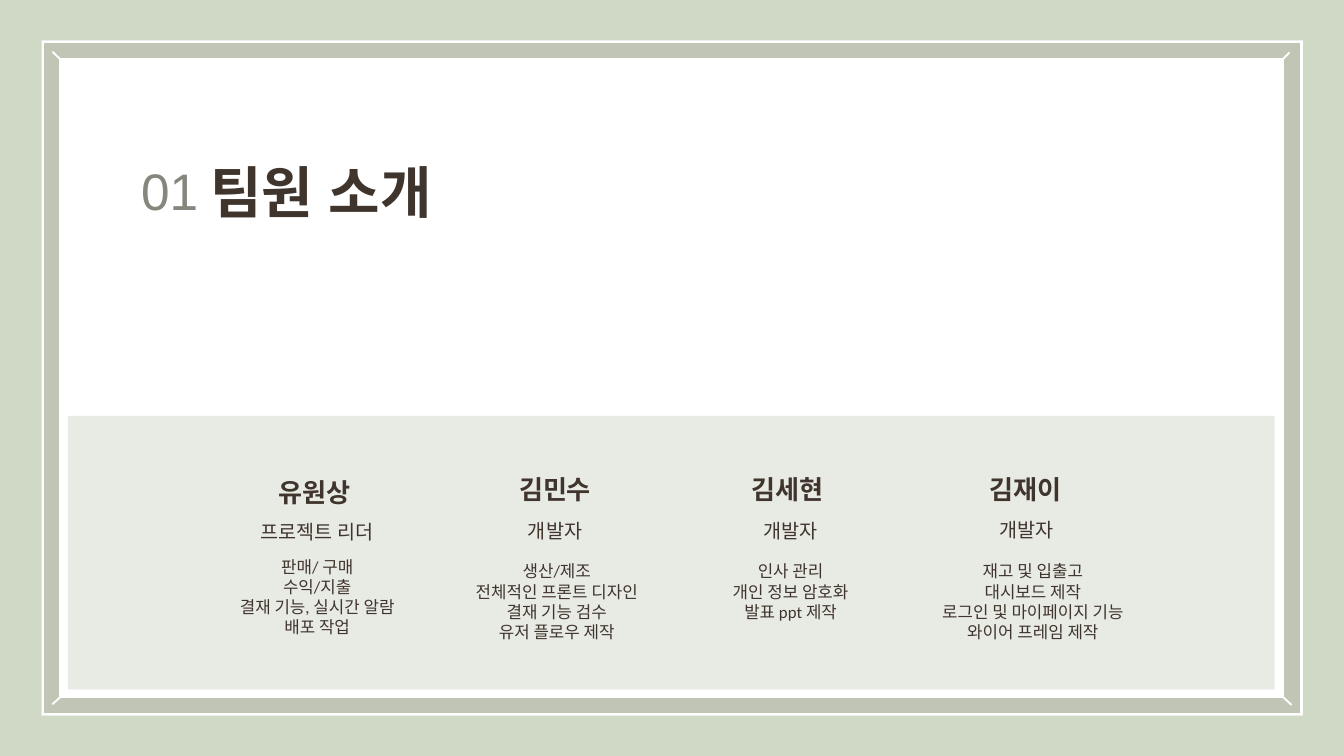
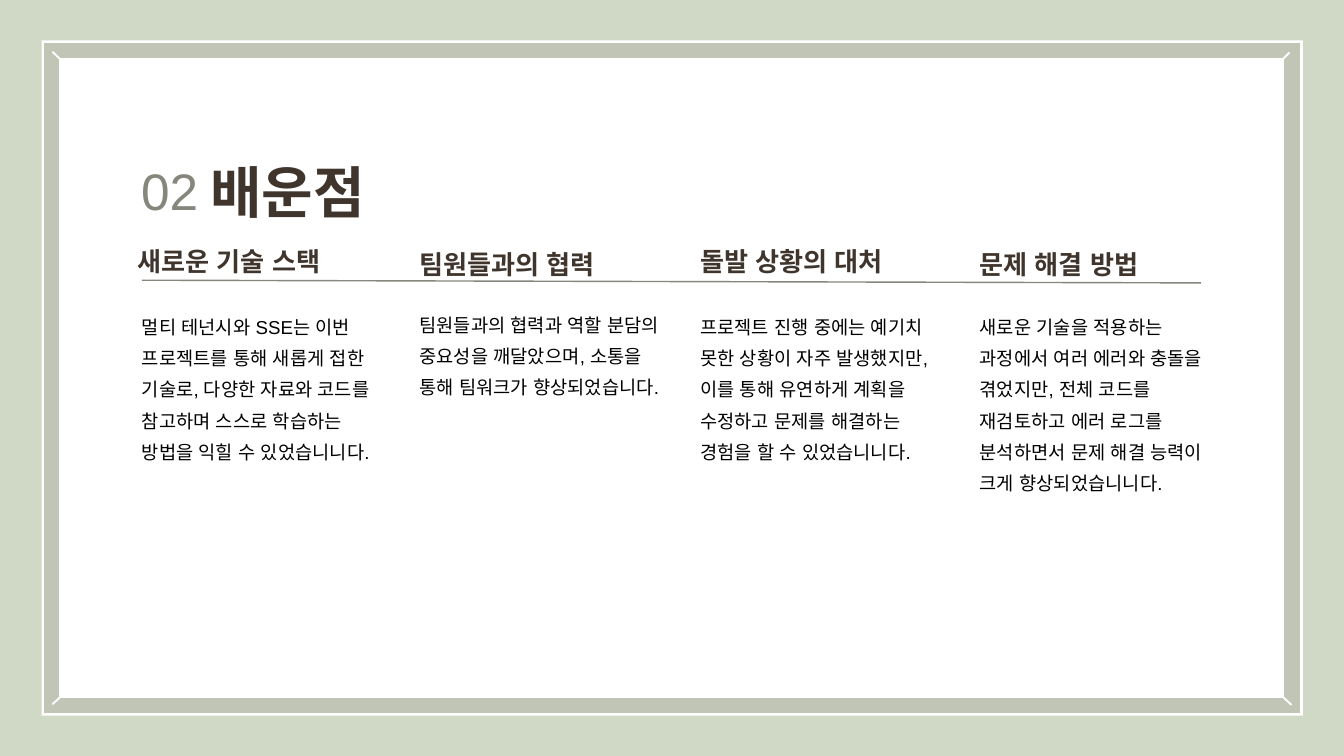
from dataclasses import dataclass
from typing import NamedTuple

from lxml.etree import SubElement
from pptx import Presentation
from pptx.dml.color import RGBColor
from pptx.enum.shapes import MSO_CONNECTOR, MSO_SHAPE
from pptx.enum.text import MSO_ANCHOR, MSO_AUTO_SIZE, PP_ALIGN
from pptx.oxml.ns import qn
from pptx.util import Emu, Pt

PX = 9144


@dataclass(frozen=True)
class Theme:
    """Colours, fonts and type sizes of the deck."""
    page: str = "D0D9C6"
    paper: str = "FFFFFF"
    band: str = "C0C5B6"
    panel: str = "E8EBE4"
    ink: str = "40352D"
    muted: str = "86867D"
    black: str = "000000"
    font: str = "Arial"
    task_font: str = "Calibri"
    title: int = 60
    number: int = 55
    heading: int = 28
    role: int = 21
    body: int = 20
    task: int = 18
    spacing: float = 1.4


class Box(NamedTuple):
    """Left, top, width and height in px."""
    x: int
    y: int
    w: int
    h: int


class Line(NamedTuple):
    """Start and end of a line in px."""
    x1: int
    y1: int
    x2: int
    y2: int


@dataclass(frozen=True)
class Member:
    """One team member with the boxes of the three texts."""
    name: str
    name_box: Box
    role: str
    role_box: Box
    tasks: tuple[str, ...]
    tasks_box: Box


@dataclass(frozen=True)
class Lesson:
    """One column of lessons learned."""
    heading: str
    heading_box: Box
    body: str
    body_box: Box


T = Theme()
OUTER = Box(62, 60, 1877, 1005)
INNER = Box(77, 75, 1846, 975)
CORNERS = (
    Line(78, 77, 100, 98),
    Line(1898, 1027, 1922, 1049),
    Line(78, 1048, 99, 1029),
    Line(1899, 98, 1919, 78),
)
PANEL = Box(101, 619, 1796, 407)
RULE = Line(211, 417, 1787, 421)
NUMBER = Box(199, 201, 107, 93)

MEMBERS = (
    Member("유원상", Box(334, 690, 267, 47), "프로젝트 리더", Box(327, 760, 290, 35),
           ("판매/ 구매", "수익/지출", "결재 기능, 실시간 알람", "배포 작업"),
           Box(317, 818, 310, 185)),
    Member("김민수", Box(681, 686, 290, 47), "개발자", Box(681, 758, 290, 35),
           ("생산/제조", "전체적인 프론트 디자인", "결재 기능 검수", "유저 플로우 제작"),
           Box(695, 825, 267, 185)),
    Member("김세현", Box(1039, 686, 267, 47), "개발자", Box(1032, 758, 290, 35),
           ("인사 관리", "개인 정보 암호화", "발표 ppt 제작"),
           Box(1070, 825, 213, 185)),
    Member("김재이", Box(1392, 686, 267, 47), "개발자", Box(1383, 756, 290, 35),
           ("재고 및 입출고", "대시보드 제작", "로그인 및 마이페이지 기능", "와이어 프레임 제작"),
           Box(1392, 825, 290, 173)),
)

LESSONS = (
    Lesson("새로운 기술 스택", Box(205, 347, 376, 47),
           "멀티 테넌시와 SSE는 이번 프로젝트를 통해 새롭게 접한 기술로, 다양한 자료와 "
           "코드를 참고하며 스스로 학습하는 방법을 익힐 수 있었습니니다.",
           Box(211, 456, 362, 222)),
    Lesson("팀원들과의 협력", Box(624, 351, 339, 47),
           "팀원들과의 협력과 역할 분담의 중요성을 깨달았으며, 소통을 통해 팀워크가 "
           "향상되었습니다.",
           Box(624, 453, 359, 128)),
    Lesson("돌발 상황의 대처", Box(1042, 347, 442, 47),
           "프로젝트 진행 중에는 예기치 못한 상황이 자주 발생했지만, 이를 통해 유연하게 "
           "계획을 수정하고 문제를 해결하는 경험을 할 수 있었습니니다.",
           Box(1042, 456, 339, 222)),
    Lesson("문제 해결 방법", Box(1458, 351, 315, 47),
           "새로운 기술을 적용하는 과정에서 여러 에러와 충돌을 겪었지만, 전체 코드를 "
           "재검토하고 에러 로그를 분석하면서 문제 해결 능력이 크게 향상되었습니니다.",
           Box(1458, 456, 366, 269)),
)


def emu(values) -> list[Emu]:
    """Turn px lengths into EMU."""
    return [Emu(v * PX) for v in values]


def rgb(color: str) -> RGBColor:
    """Turn a hex string into a colour."""
    return RGBColor.from_string(color)


def write(tf, *lines: str, size: int, color: str = T.ink, font: str = T.font,
          bold: bool = False, align=PP_ALIGN.LEFT, spacing: float | None = T.spacing,
          inset: int = 0, grow: bool = True) -> None:
    """Fill a text frame with one formatted paragraph per line."""
    tf.word_wrap = True
    tf.auto_size = MSO_AUTO_SIZE.SHAPE_TO_FIT_TEXT if grow else MSO_AUTO_SIZE.NONE
    tf.vertical_anchor = MSO_ANCHOR.TOP
    tf.margin_left = tf.margin_top = tf.margin_right = tf.margin_bottom = Emu(inset * PX)
    for i, line in enumerate(lines):
        p = tf.paragraphs[0] if i == 0 else tf.add_paragraph()
        p.alignment = align
        p.line_spacing = spacing
        r = p.add_run()
        r.text = line
        r.font.size = Pt(size)
        r.font.bold = bold
        r.font.color.rgb = rgb(color)
        r.font.name = font
        SubElement(r.font._element, qn("a:ea"), typeface=font)


def add_text(s, box: Box, *lines: str, **fmt) -> None:
    """Add a text box."""
    write(s.shapes.add_textbox(*emu(box)).text_frame, *lines, **fmt)


def add_rect(shapes, box: Box, fill: str, line: str | None = None, width: float = 0) -> None:
    """Add a flat rectangle, outlined with square corners if asked."""
    sp = shapes.add_shape(MSO_SHAPE.RECTANGLE, *emu(box))
    sp.shadow.inherit = False
    sp.fill.solid()
    sp.fill.fore_color.rgb = rgb(fill)
    if line is None:
        sp.line.fill.background()
        return
    sp.line.color.rgb = rgb(line)
    sp.line.width = Pt(width)
    SubElement(sp._element.spPr.find(qn("a:ln")), qn("a:miter"), lim="800000")


def add_line(shapes, line: Line, color: str, width: float) -> None:
    """Add a straight line."""
    c = shapes.add_connector(MSO_CONNECTOR.STRAIGHT, *emu(line))
    c.line.color.rgb = rgb(color)
    c.line.width = Pt(width)
    SubElement(c._element.spPr, qn("a:effectLst"))


def add_slide(prs, number: str, title: str, title_box: Box):
    """Add a slide with the frame, the section number and the title."""
    s = prs.slides.add_slide(prs.slide_layouts[5])
    frame = s.shapes.add_group_shape().shapes
    add_rect(frame, OUTER, T.paper)
    add_rect(frame, INNER, T.paper, T.band, 16.5)
    for corner in CORNERS:
        add_line(frame, corner, T.paper, 2)
    sp = s.shapes.title
    sp.left, sp.top, sp.width, sp.height = emu(title_box)
    write(sp.text_frame, title, size=T.title, bold=True)
    sp.element.getparent().append(sp.element)
    add_text(s, NUMBER, number, size=T.number, color=T.muted, align=PP_ALIGN.CENTER)
    return s


def build_team(prs) -> None:
    """Build the slide that introduces the team."""
    s = add_slide(prs, "01", "팀원 소개", Box(313, 195, 581, 114))
    add_rect(s.shapes, PANEL, T.panel)
    center = PP_ALIGN.CENTER
    for m in MEMBERS:
        add_text(s, m.name_box, m.name, size=T.heading, bold=True, align=center)
        add_text(s, m.role_box, m.role, size=T.role, align=center)
        add_text(s, m.tasks_box, *m.tasks, size=T.task, font=T.task_font, align=center,
                 spacing=None, inset=10, grow=False)


def build_lessons(prs) -> None:
    """Build the slide of lessons learned."""
    s = add_slide(prs, "02", "배운점", Box(313, 195, 412, 101))
    for lesson in LESSONS:
        add_text(s, lesson.heading_box, lesson.heading, size=T.heading, bold=True)
        add_text(s, lesson.body_box, lesson.body, size=T.body, color=T.black)
    add_line(s.shapes, RULE, T.muted, 1.5)


def main() -> None:
    """Build and save the deck."""
    prs = Presentation()
    prs.slide_width, prs.slide_height = emu((2000, 1125))
    fill = prs.slide_master.background.fill
    fill.solid()
    fill.fore_color.rgb = rgb(T.page)
    build_team(prs)
    build_lessons(prs)
    prs.save("out.pptx")


if __name__ == "__main__":
    main()
